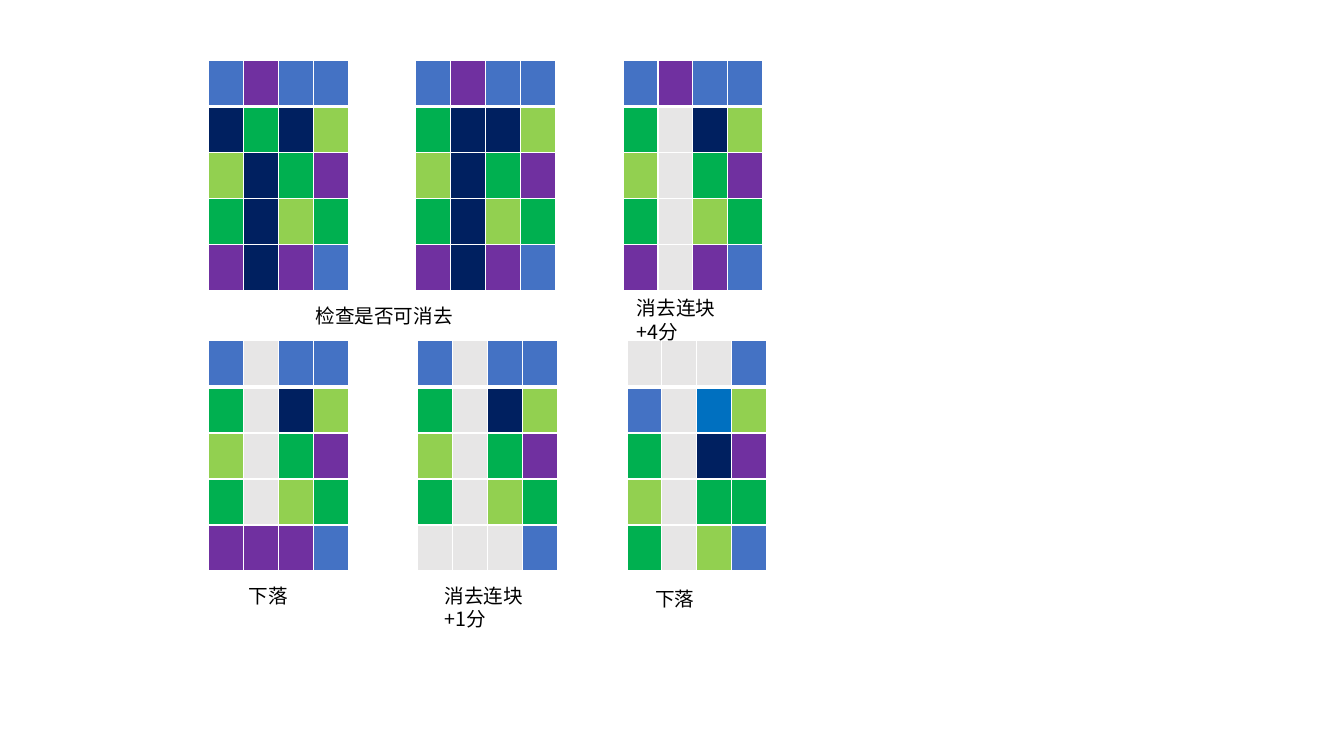
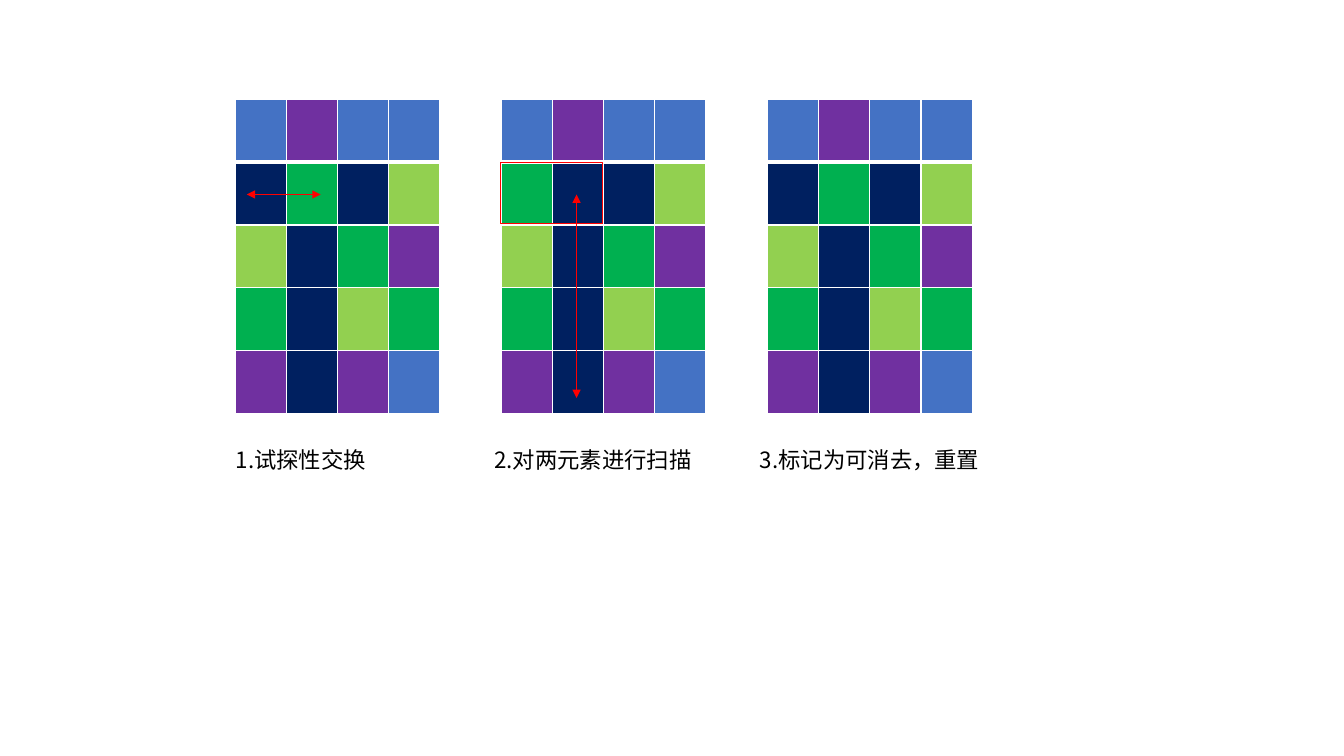
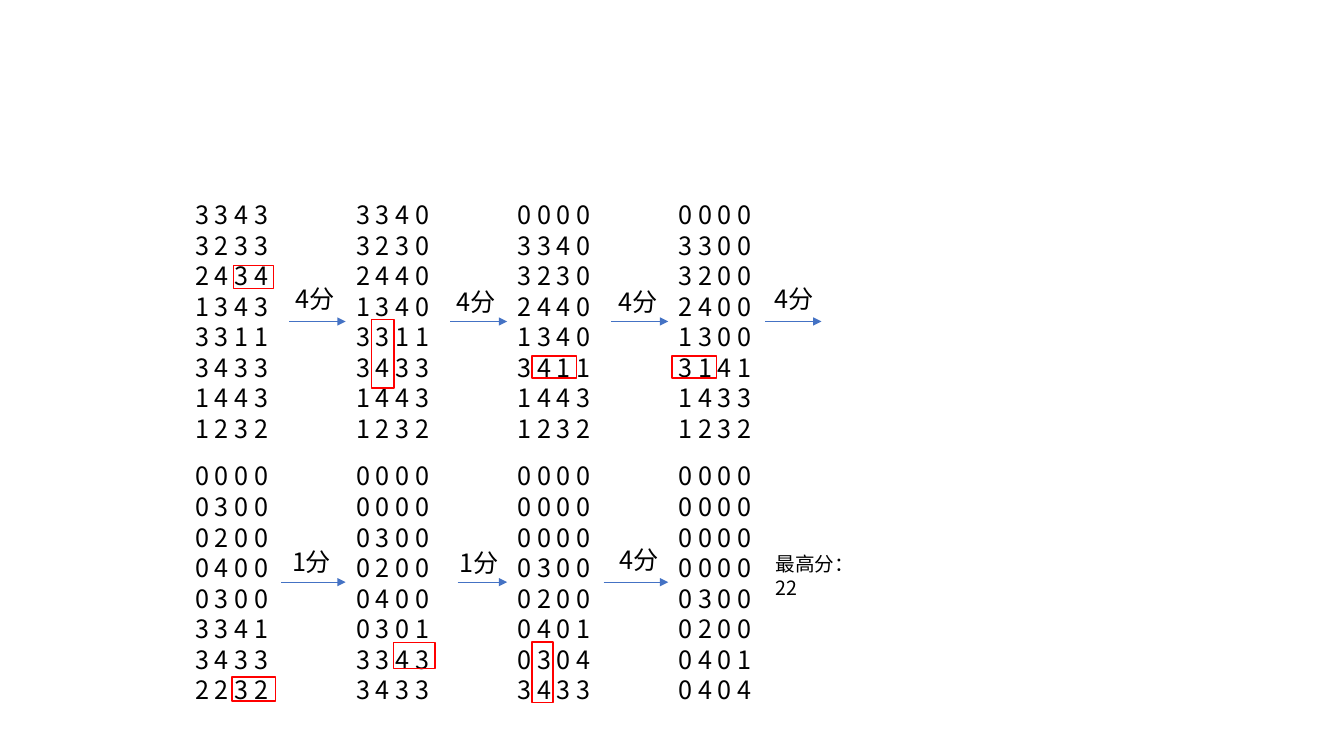
from lxml.etree import SubElement
from pptx import Presentation
from pptx.dml.color import RGBColor
from pptx.enum.shapes import MSO_CONNECTOR as Connector, MSO_SHAPE as Preset
from pptx.oxml.ns import qn
from pptx.util import Cm, Pt

FONT = "Noto Sans CJK SC"
BLACK, WHITE, RED, BLUE = "000000", "FFFFFF", "FF0000", "4472C4"
BLOCK_COLOURS = {
    "B": BLUE, "P": "7030A0", "N": "002060", "G": "00B050",
    "L": "92D050", "S": "0070C0", ".": "E7E6E6",
}
START = "BPBB NGNL LNGP GNLG PNPB"
SWAPPED = "BPBB GNNL LNGP GNLG PNPB"
CLEARED = "BPBB G.NL L.GP G.LG P.PB"
FIRST_FALL = "B.BB G.NL L.GP G.LG PPPB"
CLEARED_AGAIN = "B.BB G.NL L.GP G.LG ...B"
SECOND_FALL = "...B B.SL G.NP L.GG G.LB"


def colour(hex_string):
    return RGBColor.from_string(hex_string)


class Deck:
    """Holds the presentation, its style and the slide being filled; lengths are in cm."""

    def __init__(self):
        self.presentation = Presentation()
        self.presentation.slide_width = Cm(33.87)
        self.presentation.slide_height = Cm(19.05)
        self.slide = None

    def new_slide(self):
        blank_layout = self.presentation.slide_layouts[6]
        self.slide = self.presentation.slides.add_slide(blank_layout)

    def text(self, left, top, width, height, lines, size):
        box = self.slide.shapes.add_textbox(Cm(left), Cm(top), Cm(width), Cm(height))
        frame = box.text_frame
        frame.word_wrap = True
        frame.text = "\n".join(lines)
        for paragraph in frame.paragraphs:
            paragraph.line_spacing = Pt(round(size * 1.21, 1))
            for run in paragraph.runs:
                run.font.size = Pt(size)
                run.font.name = FONT
                run.font.color.rgb = colour(BLACK)
                SubElement(run.font._element, qn("a:ea"), typeface=FONT)

    def board(self, left, top, cell_width, cell_height, pattern):
        """Draws blocks from space-separated rows of colour letters."""
        rows = pattern.split()
        row_count, column_count = len(rows), len(rows[0])
        table = self.slide.shapes.add_table(
            row_count, column_count, Cm(left), Cm(top),
            Cm(cell_width * column_count), Cm(cell_height * row_count)).table
        for column in table.columns:
            column.width = Cm(cell_width)
        for row_index, letters in enumerate(rows):
            table.rows[row_index].height = Cm(cell_height)
            for column_index, letter in enumerate(letters):
                cell = table.cell(row_index, column_index)
                cell.margin_top = cell.margin_bottom = 0
                self.borders(cell, top=3 if row_index == 1 else 1,
                             bottom=3 if row_index == 0 else 1)
                cell.fill.solid()
                cell.fill.fore_color.rgb = colour(BLOCK_COLOURS[letter])

    def borders(self, cell, top, bottom):
        properties = cell._tc.get_or_add_tcPr()
        for side, points in (("L", 1), ("R", 1), ("T", top), ("B", bottom)):
            line = SubElement(properties, qn(f"a:ln{side}"), w=str(Pt(points)))
            fill = SubElement(line, qn("a:solidFill"))
            SubElement(fill, qn("a:srgbClr"), val=WHITE)

    def highlight(self, left, top, width, height):
        shape = self.slide.shapes.add_shape(
            Preset.RECTANGLE, Cm(left), Cm(top), Cm(width), Cm(height))
        shape.shadow.inherit = False
        shape.fill.background()
        shape.line.color.rgb = colour(RED)
        shape.line.width = Pt(1)

    def arrow(self, start, end, line_colour, both_ends=False):
        connector = self.slide.shapes.add_connector(
            Connector.STRAIGHT, Cm(start[0]), Cm(start[1]), Cm(end[0]), Cm(end[1]))
        connector.line.color.rgb = colour(line_colour)
        connector.line.width = Pt(0.5)
        line = connector.line._get_or_add_ln()
        for end_name in ("headEnd", "tailEnd") if both_ends else ("tailEnd",):
            SubElement(line, qn(f"a:{end_name}"), type="triangle")
        SubElement(connector._element.spPr, qn("a:effectLst"))


def add_elimination_slide(deck):
    deck.new_slide()
    board_rows = (
        (1.52, 5.22, (START, SWAPPED, CLEARED)),
        (8.59, 5.27, (FIRST_FALL, CLEARED_AGAIN, SECOND_FALL)),
    )
    for top, pitch, patterns in board_rows:
        for index, pattern in enumerate(patterns):
            deck.board(5.26 + index * pitch, top, 0.88, 1.16, pattern)
    captions = (
        (7.7, 7.52, 6.96, ["检查是否可消去"]),
        (15.8, 7.34, 3.3, ["消去连块", "+4分"]),
        (6.02, 14.58, 6.96, ["下落"]),
        (10.95, 14.58, 3.02, ["消去连块", "+1分"]),
        (16.26, 14.66, 3.02, ["下落"]),
    )
    for left, top, width, lines in captions:
        deck.text(left, top, width, 0.86 if len(lines) == 1 else 1.45, lines, 14)


def add_swap_slide(deck):
    deck.new_slide()
    steps = (
        (START, 5.69, "1.试探性交换"),
        (SWAPPED, 12.21, "2.对两元素进行扫描"),
        (START, 18.9, "3.标记为可消去，重置"),
    )
    for index, (pattern, caption_left, caption) in enumerate(steps):
        deck.board(5.92 + index * 6.71, 2.51, 1.29, 1.58, pattern)
        deck.text(caption_left, 11.1, 6.5, 0.94, [caption], 16)
    deck.arrow((6.22, 4.9), (8.08, 4.9), RED, both_ends=True)
    deck.arrow((14.53, 4.9), (14.53, 10.03), RED, both_ends=True)
    deck.highlight(12.62, 4.09, 2.57, 1.55)


def add_score_slide(deck):
    deck.new_slide()
    state_rows = (
        (4.9, ("3343 3233 2434 1343 3311 3433 1443 1232",
               "3340 3230 2440 1340 3311 3433 1443 1232",
               "0000 3340 3230 2440 1340 3411 1443 1232",
               "0000 3300 3200 2400 1300 3141 1433 1232")),
        (11.48, ("0000 0300 0200 0400 0300 3341 3433 2232",
                 "0000 0000 0300 0200 0400 0301 3343 3433",
                 "0000 0000 0000 0300 0200 0401 0304 3433",
                 "0000 0000 0000 0000 0300 0200 0401 0404")),
    )
    for top, states in state_rows:
        for index, state in enumerate(states):
            lines = [" ".join(digits) for digits in state.split()]
            deck.text(4.67 + index * 4.06, top, 2.62, 6.4, lines, 18)

    swapped_pairs = (
        (5.88, 6.69, 1.02, 0.58), (9.37, 8.05, 0.56, 1.73),
        (13.41, 8.97, 1.12, 0.56), (16.94, 8.97, 1.12, 0.56),
        (5.85, 17.06, 1.09, 0.61), (9.92, 16.19, 1.04, 0.66),
        (13.41, 16.18, 0.53, 1.52),
    )
    for pair in swapped_pairs:
        deck.highlight(*pair)

    moves = (
        (8.1, 7.29, 8.71, 7.21, 7.01, "4分"),
        (8.1, 11.35, 12.78, 11.25, 7.09, "4分"),
        (8.1, 15.41, 16.84, 15.34, 7.09, "4分"),
        (8.1, 19.28, 20.7, 19.28, 7.01, "4分"),
        (14.67, 7.09, 8.71, 7.11, 13.64, "1分"),
        (14.67, 11.53, 12.78, 11.33, 13.67, "1分"),
        (14.67, 15.21, 16.84, 15.37, 13.59, "4分"),
    )
    for y, start, end, label_left, label_top, score in moves:
        deck.arrow((start, y), (end, y), BLUE)
        deck.text(label_left, label_top, 2.62, 1.02, [score], 18)
    deck.text(19.3, 13.79, 2.62, 1.45, ["最高分：22"], 14)


def main():
    deck = Deck()
    add_elimination_slide(deck)
    add_swap_slide(deck)
    add_score_slide(deck)
    deck.presentation.save("out.pptx")


if __name__ == "__main__":
    main()
